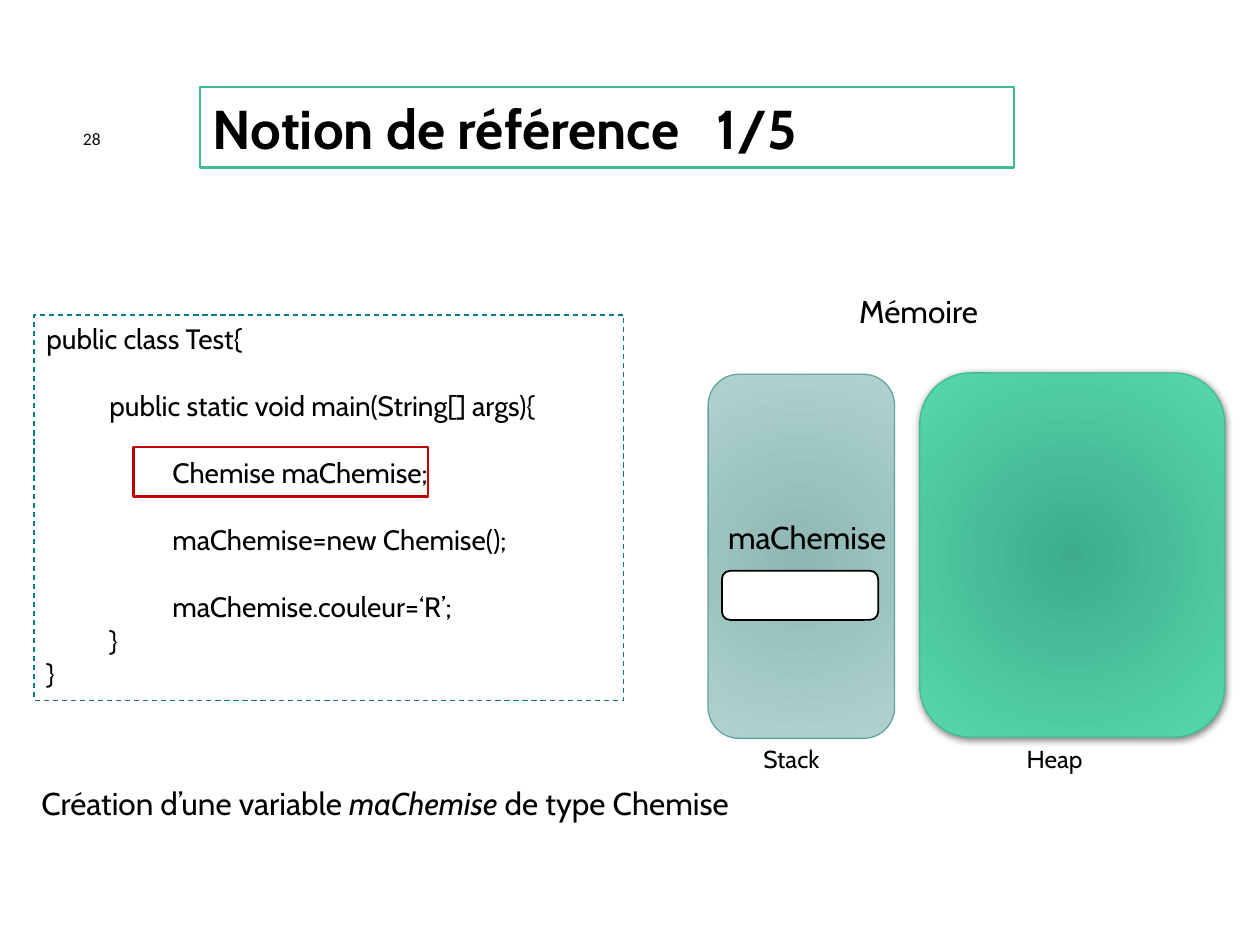
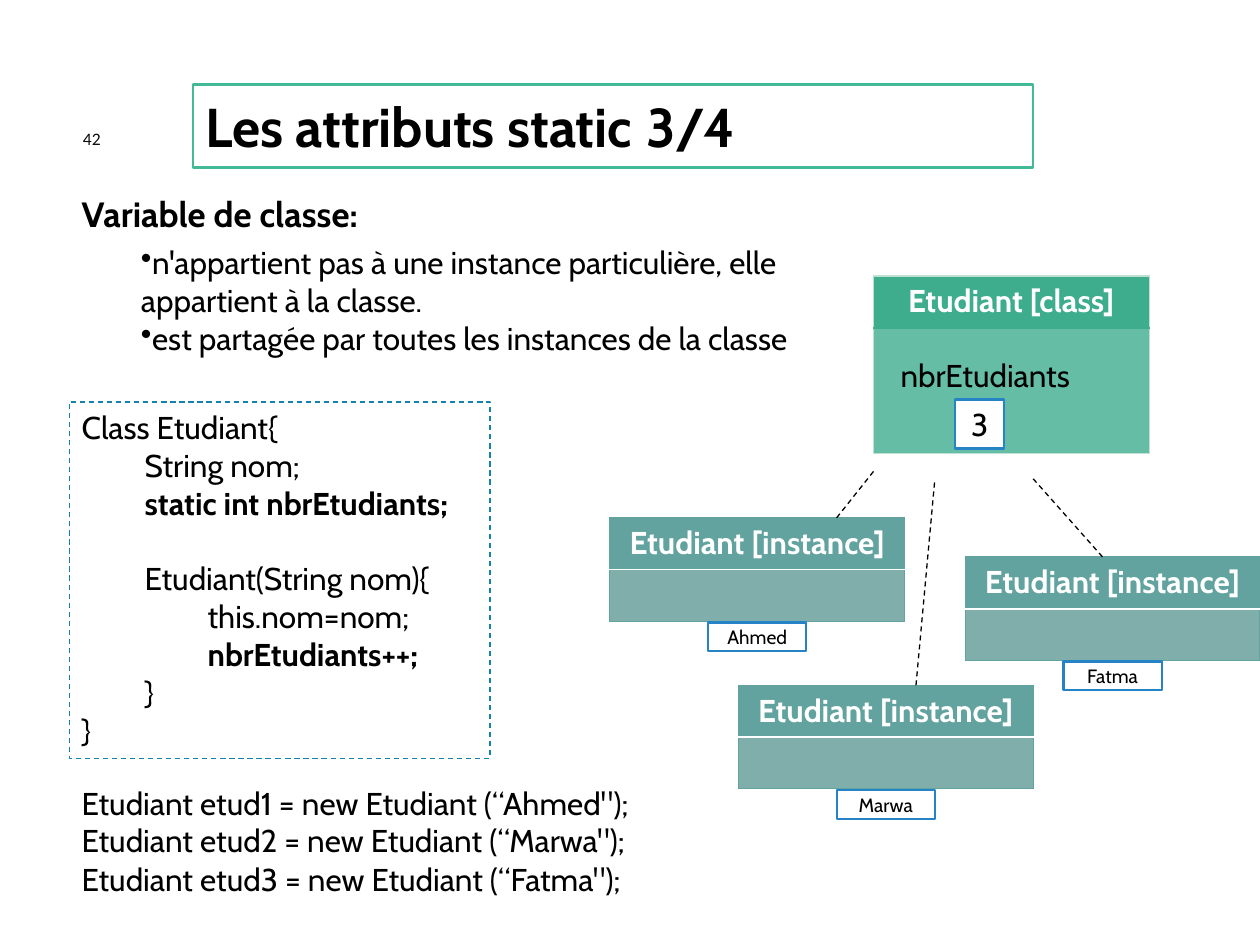
from lxml import etree
from pptx import Presentation
from pptx import util as u
from pptx.dml.color import RGBColor
from pptx.enum import dml, shapes, text
from pptx.oxml import parse_xml
from pptx.oxml.ns import nsdecls, qn

COLORS = {
    "ink": "000000", "number": "0D0D0D", "white": "FFFFFF", "title": "42BA97",
    "code1": "0C788E", "code2": "1482AC", "focus": "C00000", "value": "2683C6",
    "stack_in": "8EB7B4", "stack_out": "B0D3D1", "teal": "62A39F",
    "heap_in": "3DAD8D", "heap_out": "57D8AC", "class_body": "64BDA4",
    "class_edge": "C0E0D3", "instance_body": "7FAEAB",
}
C = {name: RGBColor.from_string(value) for name, value in COLORS.items()}
RECT = shapes.MSO_SHAPE.RECTANGLE
ROUND = shapes.MSO_SHAPE.ROUNDED_RECTANGLE
LEFT, CENTER = text.PP_ALIGN.LEFT, text.PP_ALIGN.CENTER
TOP, MIDDLE = text.MSO_ANCHOR.TOP, text.MSO_ANCHOR.MIDDLE

prs = Presentation()
prs.slide_width, prs.slide_height = u.Inches(10), u.Inches(7.5)
UNIT = prs.slide_width // 100  # the slide is a grid of 100 columns by 75 rows


def write(tf, paras, size, color="ink", font="Cabin", align=LEFT, anchor=TOP):
    """Fill a text frame; each paragraph is a list of (text, style) runs, style "b", "i" or ""."""
    tf.word_wrap = True
    tf.vertical_anchor = anchor
    for i, runs in enumerate(paras):
        p = tf.paragraphs[0] if i == 0 else tf.add_paragraph()
        p.alignment = align
        for content, style in runs:
            r = p.add_run()
            r.text = content
            r.font.size, r.font.name = u.Pt(size), font
            r.font.bold, r.font.italic = style == "b", style == "i"
            r.font.color.rgb = C[color]


def add_box(s, at, line, width, kind=RECT, fill=None, dashed=False):
    sp = s.shapes.add_shape(kind, *[round(v * UNIT) for v in at])
    sp.shadow.inherit = False
    if fill:
        sp.fill.solid()
        sp.fill.fore_color.rgb = C[fill]
    else:
        sp.fill.background()
    sp.line.color.rgb, sp.line.width = C[line], u.Pt(width)
    if dashed:
        sp.line.dash_style = dml.MSO_LINE.DASH
    return sp


# Per slide: title, page, labels, code box
# Label: place, size, runs. Code line: depth, blank lines before, text, style.
pages = [
    dict(title="Notion de référence\t1/5", page="28", title_at=(15.9, 6.9, 64.6, 6.4),
         code_at=(2.7, 25, 46.8, 30.6), code_line="code1", code_size=16,
         code=[(0, 0, "public class Test{", ""),
               (1, 1, "public static void main(String[] args){", ""),
               (2, 1, "Chemise maChemise;", ""),
               (2, 1, "maChemise=new Chemise();", ""),
               (2, 1, "maChemise.couleur=‘R’;", ""),
               (1, 0, "}", ""), (0, 0, "}", "")],
         labels=[((67.2, 22.7, 12.9, 4), 18, [("Mémoire", "")]),
                 ((56.8, 40.6, 16.9, 4), 18, [("maChemise", "")]),
                 ((2.3, 61.7, 69.5, 4), 18, [("Création d’une variable ", ""),
                                            ("maChemise", "i"), (" de type Chemise", "")]),
                 ((59.6, 58.6, 7.3, 3.4), 14, [("Stack", "")]),
                 ((80.5, 58.6, 7.3, 3.4), 14, [("Heap", "")])]),
    dict(title="Les attributs static \t3/4", page="42", title_at=(15.3, 6.7, 66.7, 6.6),
         code_at=(5.5, 31.9, 33.4, 28.3), code_line="code2", code_size=18,
         code=[(0, 0, "Class Etudiant{", ""), (1, 0, "String nom;", ""),
               (1, 0, "static int nbrEtudiants;", "b"),
               (1, 1, "Etudiant(String nom){", ""), (2, 0, "this.nom=nom;", ""),
               (2, 0, "nbrEtudiants++;", "b"), (1, 0, "}", ""), (0, 0, "}", "")],
         labels=[((5.5, 14.8, 27.1, 4.4), 20, [("Variable de classe:", "b")]),
                 ((70.5, 27.8, 16.2, 4), 18, [("nbrEtudiants", "")])]
         + [((5.5, y, 50, 4), 18, [(f"Etudiant etud{n} = new Etudiant (“{name}\");", "")])
            for n, y, name in [(1, 61.7, "Ahmed"), (2, 64.7, "Marwa"), (3, 67.8, "Fatma")]]),
]

# Memory areas: place, inner, outer and line colours
areas = [((56.2, 29.7, 14.8, 28.9), "stack_in", "stack_out", "teal"),
         ((73, 29.6, 24.2, 28.9), "heap_in", "heap_out", "title")]
# Tables: place, row heights, heading, header, body and edge colours, rule under the header
instance = ("Etudiant [instance]", "teal", "instance_body", "teal", "white")
tables = [((69.3, 21.9, 21.9), (4.1, 10), "Etudiant [class]",
           "heap_in", "class_body", "class_edge", "heap_in")]
students = [("Fatma", 76.6, 44.2), ("Marwa", 58.6, 54.4), ("Ahmed", 48.4, 41.1)]
tables += [((x, y, 23.4), (4.1, 4.1), *instance) for name, x, y in students]
links = [(66.4, 41.1, 69.5, 37.2), (72.7, 54.4, 74.2, 38), (87.5, 44.2, 82, 38)]
bullets = ["n'appartient pas à une instance particulière, elle appartient à la classe.",
           "est partagée par toutes les instances de la classe"]

for index, page in enumerate(pages):
    s = prs.slides.add_slide(prs.slide_layouts[5])
    title = s.shapes.title
    title.left, title.top, title.width, title.height = [
        round(v * UNIT) for v in page["title_at"]]
    title.line.color.rgb, title.line.width = C["title"], u.Pt(1.25)
    write(title.text_frame, [[(page["title"], "b")]], 31.2, anchor=MIDDLE)
    title.text_frame.auto_size = text.MSO_AUTO_SIZE.NONE

    number = s.shapes.add_textbox(*[round(v * UNIT) for v in (5.6, 9.4, 5.8, 3.2)])
    write(number.text_frame, [[(page["page"], "")]], 10, "number", "Calibri", anchor=MIDDLE)

    code = add_box(s, page["code_at"], page["code_line"], 0.75, dashed=True)
    tf = code.text_frame
    write(tf, [[(content, style)] for _, _, content, style in page["code"]],
          page["code_size"])
    for p, (depth, blanks, _, _) in zip(tf.paragraphs, page["code"]):
        p._p.get_or_add_pPr().set("marL", str(depth * 5 * UNIT))
        if blanks:
            p.space_before = u.Pt(blanks * page["code_size"] * 1.2)

    if index == 0:
        add_box(s, (10.6, 35.5, 23.4, 3.9), "focus", 1.25)
        for at, inner, outer, line in areas:
            sp = add_box(s, at, line, 0.75, ROUND)
            sp.fill.gradient()
            for stop, color in zip(sp.fill.gradient_stops, (inner, outer)):
                stop.color.rgb = C[color]
            grad = sp._element.spPr.find(qn("a:gradFill"))
            grad.replace(grad.find(qn("a:lin")), parse_xml(
                f'<a:path {nsdecls("a")} path="circle">'
                '<a:fillToRect l="50000" t="50000" r="50000" b="50000"/></a:path>'))
        # The heap, drawn last, casts a soft shadow
        effects = sp._element.spPr.find(qn("a:effectLst"))
        effects.append(parse_xml(
            f'<a:outerShdw {nsdecls("a")} blurRad="{u.Pt(4)}" dist="{u.Pt(1)}" dir="5400000">'
            '<a:srgbClr val="000000"><a:alpha val="50000"/></a:srgbClr></a:outerShdw>'))
        add_box(s, (57.3, 45.3, 12.4, 3.9), "ink", 1, ROUND, "white")
    else:
        rules = s.shapes.add_textbox(*[round(v * UNIT) for v in (10.2, 18.8, 60.2, 10.1)])
        write(rules.text_frame, [[(rule, "")] for rule in bullets], 18)
        for p in rules.text_frame.paragraphs:
            etree.SubElement(p._p.get_or_add_pPr(), qn("a:buChar"), char="•")

        for (x, y, w), heights, heading, head, body, edge, rule in tables:
            frame = s.shapes.add_table(2, 1, *[round(v * UNIT) for v in (x, y, w, sum(heights))])
            table = frame.table
            table.first_row = table.horz_banding = False
            for row, height in enumerate(heights):
                table.rows[row].height = round(height * UNIT)
                cell = table.cell(row, 0)
                tcPr = cell._tc.get_or_add_tcPr()
                sides = {"lnL": edge, "lnR": edge, "lnT": rule if row else edge,
                         "lnB": edge if row else rule}
                for side, color in sides.items():
                    width = u.Pt(1.25 if color == rule else 0.75)
                    tcPr.append(parse_xml(
                        f'<a:{side} {nsdecls("a")} w="{width}"><a:solidFill>'
                        f'<a:srgbClr val="{COLORS[color]}"/></a:solidFill></a:{side}>'))
                cell.fill.solid()
                cell.fill.fore_color.rgb = C[body if row else head]
            write(table.cell(0, 0).text_frame, [[(heading, "b")]], 18, "white", align=CENTER)

        for link in links:
            line = s.shapes.add_connector(shapes.MSO_CONNECTOR.STRAIGHT,
                                          *[round(v * UNIT) for v in link])
            line.line.color.rgb, line.line.width = C["ink"], u.Pt(0.75)
            line.line.dash_style = dml.MSO_LINE.DASH
            etree.SubElement(line._element.spPr, qn("a:effectLst"))

        values = [("3", (75.8, 31.7, 3.9, 3.9), 18)]
        values += [(name, (x + 7.8, y + 8.3, 7.8, 2.3), 11) for name, x, y in students]
        for value, at, size in values:
            sp = add_box(s, at, "value", 1.25, fill="white")
            write(sp.text_frame, [[(value, "")]], size, align=CENTER, anchor=MIDDLE)

    for at, size, runs in page["labels"]:
        label = s.shapes.add_textbox(*[round(v * UNIT) for v in at])
        write(label.text_frame, [runs], size)

prs.save("out.pptx")
